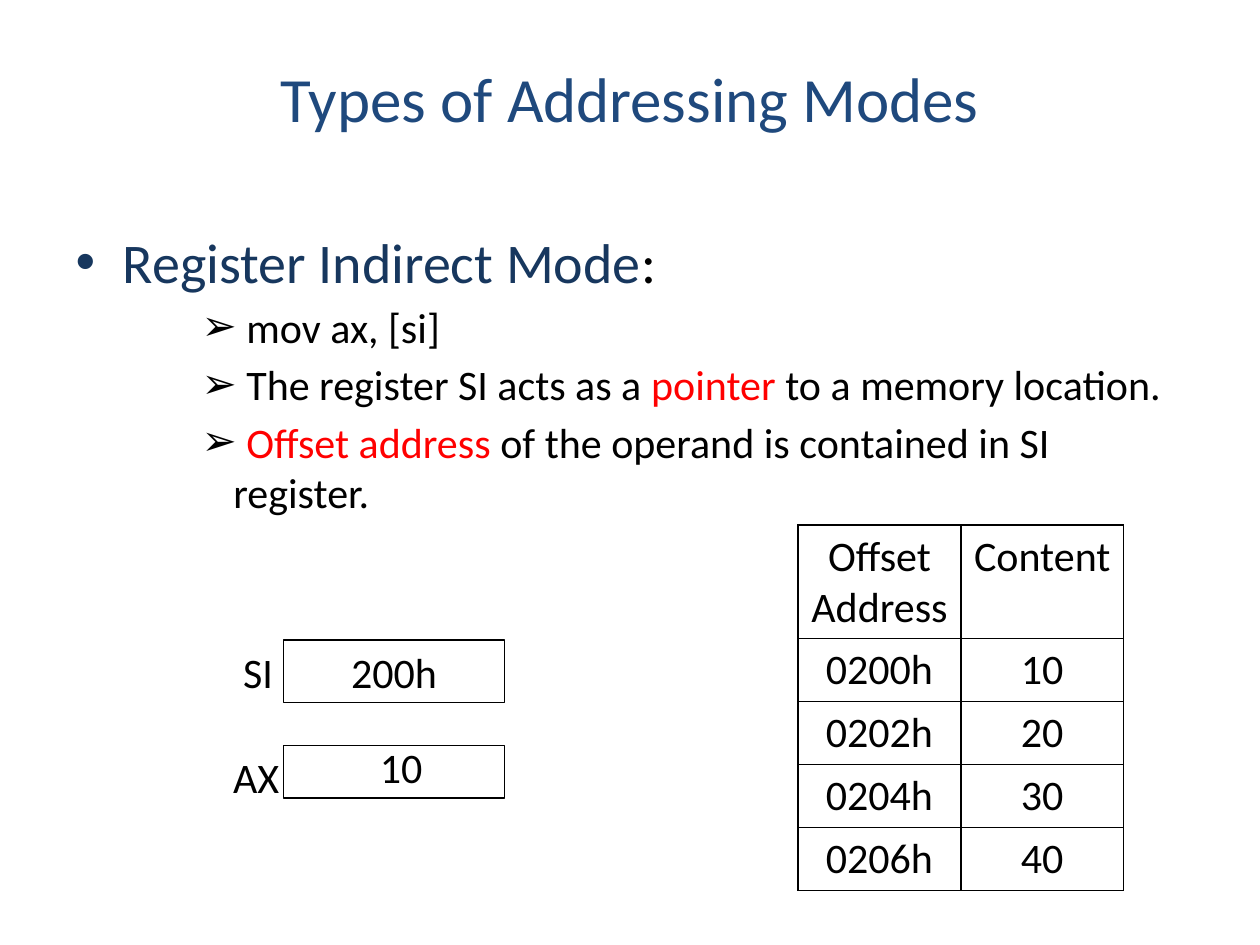
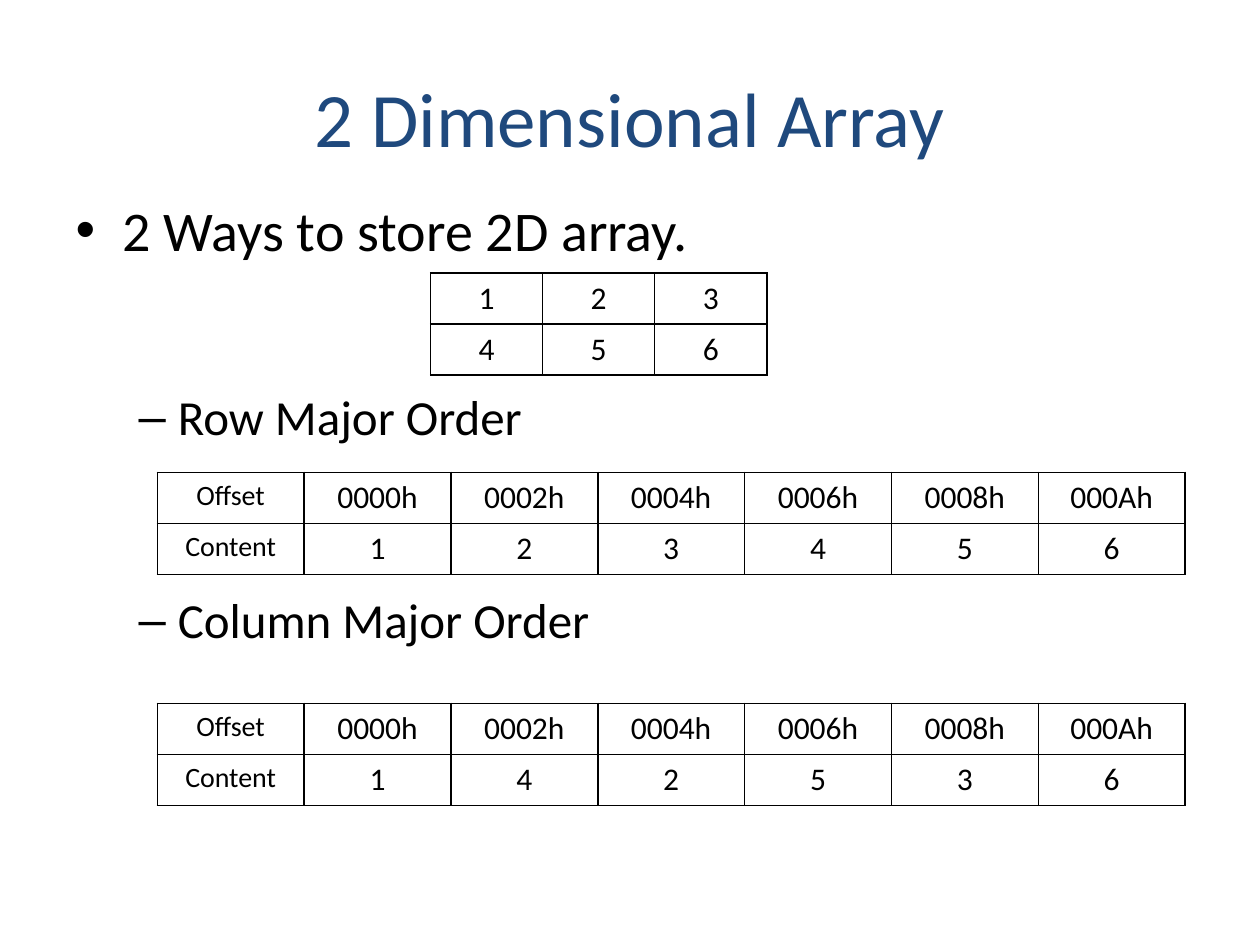
import lxml.etree
import pptx
import pptx.dml.color
import pptx.enum.shapes
import pptx.enum.text
import pptx.oxml
import pptx.oxml.ns
import pptx.util

Cm = pptx.util.Cm
Pt = pptx.util.Pt
RGBColor = pptx.dml.color.RGBColor
ALIGN = pptx.enum.text.PP_ALIGN
ANCHOR = pptx.enum.text.MSO_ANCHOR
qn = pptx.oxml.ns.qn

# Shared look
FONT = "Calibri"
BLACK = RGBColor(0x00, 0x00, 0x00)
TITLE_BLUE = RGBColor(0x1F, 0x49, 0x7D)
HEADING_BLUE = RGBColor(0x17, 0x37, 0x5E)
RED = RGBColor(0xFF, 0x00, 0x00)
SIDE = 1.27
CONTENT_WIDTH = 22.86
TITLE_TOP = 0.76

# Bullet kinds: character, level, left margin and hanging indent (cm)
MAIN = ("\u2022", 0, 0.95, 0.95)
DASH = ("\u2013", 1, 2.06, 0.79)
ARROW = ("\u27a2", 2, 3.18, 0.64)

TITLE_SHADOW = (
    '<a:effectLst xmlns:a="http://schemas.openxmlformats.org/drawingml/2006/main">'
    '<a:outerShdw blurRad="38100" dist="38100" dir="2700000" algn="tl">'
    '<a:srgbClr val="000000"><a:alpha val="43000"/></a:srgbClr>'
    "</a:outerShdw></a:effectLst>"
)


def format_run(run, size, color=BLACK):
    run.font.size = Pt(size)
    run.font.color.rgb = color
    run.font.name = FONT


def place(shape, left, top, width, height):
    shape.left, shape.top = Cm(left), Cm(top)
    shape.width, shape.height = Cm(width), Cm(height)


def write_line(frame, text, size, align=None):
    """One line of text in a frame or a table cell."""
    frame.text = text
    paragraph = frame.paragraphs[0]
    paragraph.alignment = align
    format_run(paragraph.runs[0], size)


def set_title(slide, text, size, height):
    title = slide.shapes.title
    place(title, SIDE, TITLE_TOP, CONTENT_WIDTH, height)
    frame = title.text_frame
    frame.text = text
    frame.auto_size = pptx.enum.text.MSO_AUTO_SIZE.NONE
    frame.vertical_anchor = ANCHOR.MIDDLE
    frame.paragraphs[0].alignment = ALIGN.CENTER
    run = frame.paragraphs[0].runs[0]
    format_run(run, size, TITLE_BLUE)
    fill = run.font._element.find(qn("a:solidFill"))
    fill.addnext(pptx.oxml.parse_xml(TITLE_SHADOW))


def set_bullet(paragraph, bullet):
    character, level, margin, hanging = bullet
    paragraph.level = level
    properties = paragraph._p.get_or_add_pPr()
    properties.set("marL", str(Cm(margin)))
    properties.set("indent", str(-Cm(hanging)))
    lxml.etree.SubElement(properties, qn("a:buFont")).set("typeface", "Arial")
    lxml.etree.SubElement(properties, qn("a:buChar")).set("char", character)


def set_body(slide, top, height, items):
    """Items: bullet kind, size, space before (pt), list of (text, colour)."""
    body = slide.placeholders[1]
    place(body, SIDE, top, CONTENT_WIDTH, height)
    frame = body.text_frame
    frame.auto_size = pptx.enum.text.MSO_AUTO_SIZE.NONE
    for index, (bullet, size, gap, pieces) in enumerate(items):
        paragraph = frame.add_paragraph() if index else frame.paragraphs[0]
        paragraph.space_before = Pt(gap)
        set_bullet(paragraph, bullet)
        for text, color in pieces:
            run = paragraph.add_run()
            run.text = text
            format_run(run, size, color)


def add_label(slide, text, left, top, width, wrap=False):
    label = slide.shapes.add_textbox(Cm(left), Cm(top), Cm(width), Cm(1.27))
    label.text_frame.word_wrap = wrap
    write_line(label.text_frame, text, 24)


def add_register(slide, top, height, value=None):
    register = slide.shapes.add_shape(
        pptx.enum.shapes.MSO_SHAPE.RECTANGLE,
        Cm(5.72), Cm(top), Cm(4.45), Cm(height))
    register.shadow.inherit = False
    register.fill.background()
    register.line.color.rgb = BLACK
    register.line.width = Pt(0.75)
    if value:
        register.text_frame.vertical_anchor = ANCHOR.MIDDLE
        write_line(register.text_frame, value, 24, ALIGN.CENTER)


def add_borders(cell):
    properties = cell._tc.get_or_add_tcPr()
    for position, side in enumerate(("a:lnL", "a:lnR", "a:lnT", "a:lnB")):
        border = lxml.etree.Element(qn(side), w=str(Pt(1)))
        fill = lxml.etree.SubElement(border, qn("a:solidFill"))
        lxml.etree.SubElement(fill, qn("a:srgbClr")).set("val", str(BLACK))
        properties.insert(position, border)


def add_grid(slide, rows, left, top, column_width, row_heights, size,
             label_size=None):
    """Bordered table; label_size applies to the first column."""
    table = slide.shapes.add_table(
        len(rows), len(rows[0]), Cm(left), Cm(top),
        Cm(column_width * len(rows[0])), Cm(sum(row_heights))).table
    table.first_row = table.horz_banding = False
    for column in table.columns:
        column.width = Cm(column_width)
    for r, (values, height) in enumerate(zip(rows, row_heights)):
        table.rows[r].height = Cm(height)
        for c, value in enumerate(values):
            cell = table.cell(r, c)
            cell.fill.background()
            cell_size = label_size if label_size and c == 0 else size
            write_line(cell.text_frame, value, cell_size, ALIGN.CENTER)
            add_borders(cell)


def build_addressing(slide):
    set_title(slide, "Types of Addressing Modes", 36, 2.41)
    set_body(slide, 4.45, 7.82, [
        (MAIN, 32, 0, [("Register Indirect Mode", HEADING_BLUE), (":", BLACK)]),
        (ARROW, 24, 4, [(" mov ax, [si]", BLACK)]),
        (ARROW, 24, 4, [(" The register SI acts as a ", BLACK),
                        ("pointer", RED),
                        (" to a memory location.", BLACK)]),
        (ARROW, 24, 4, [(" ", BLACK), ("Offset address ", RED),
                        ("of the operand is contained in SI register.", BLACK)]),
    ])

    # Registers
    add_register(slide, 12.9, 1.27, "200h")
    add_label(slide, "SI", 4.65, 12.9, 1.12)
    add_register(slide, 15.03, 1.06)
    add_label(slide, "AX", 4.45, 15.03, 1.45)

    # Memory
    memory = [("Offset Address", "Content"), ("0200h", "10"),
              ("0202h", "20"), ("0204h", "30"), ("0206h", "40")]
    add_grid(slide, memory, 16.09, 10.58, 3.28, [2.28] + [1.27] * 4, 24)
    add_label(slide, "10", 7.41, 14.82, 1.37, wrap=True)


def build_array(slide):
    set_title(slide, "2 Dimensional Array", 44, 3.18)
    set_body(slide, 3.81, 13.21, [
        (MAIN, 32, 0, [("2 Ways to store 2D array.", BLACK)]),
        (DASH, 28, 71, [("Row Major Order", BLACK)]),
        (DASH, 28, 82.5, [("Column Major Order", BLACK)]),
    ])

    # The array, then its two layouts in memory
    array = ["123", "456"]
    row_heights = [1.03, 1.03]
    add_grid(slide, array, 8.68, 5.5, 2.26, row_heights, 18)
    offsets = ["Offset"] + [f"{2 * i:04X}h" for i in range(6)]
    row_major = "".join(array)
    column_major = "".join(a + b for a, b in zip(*array))
    for order, top in ((row_major, 9.52), (column_major, 14.18)):
        add_grid(slide, [offsets, ["Content", *order]], 3.17, top, 2.96,
                 row_heights, 18, label_size=16)


def main():
    deck = pptx.Presentation()
    deck.slide_width, deck.slide_height = Cm(25.4), Cm(19.05)
    title_and_content = deck.slide_layouts[1]
    for build in (build_addressing, build_array):
        build(deck.slides.add_slide(title_and_content))
    deck.save("out.pptx")


main()
